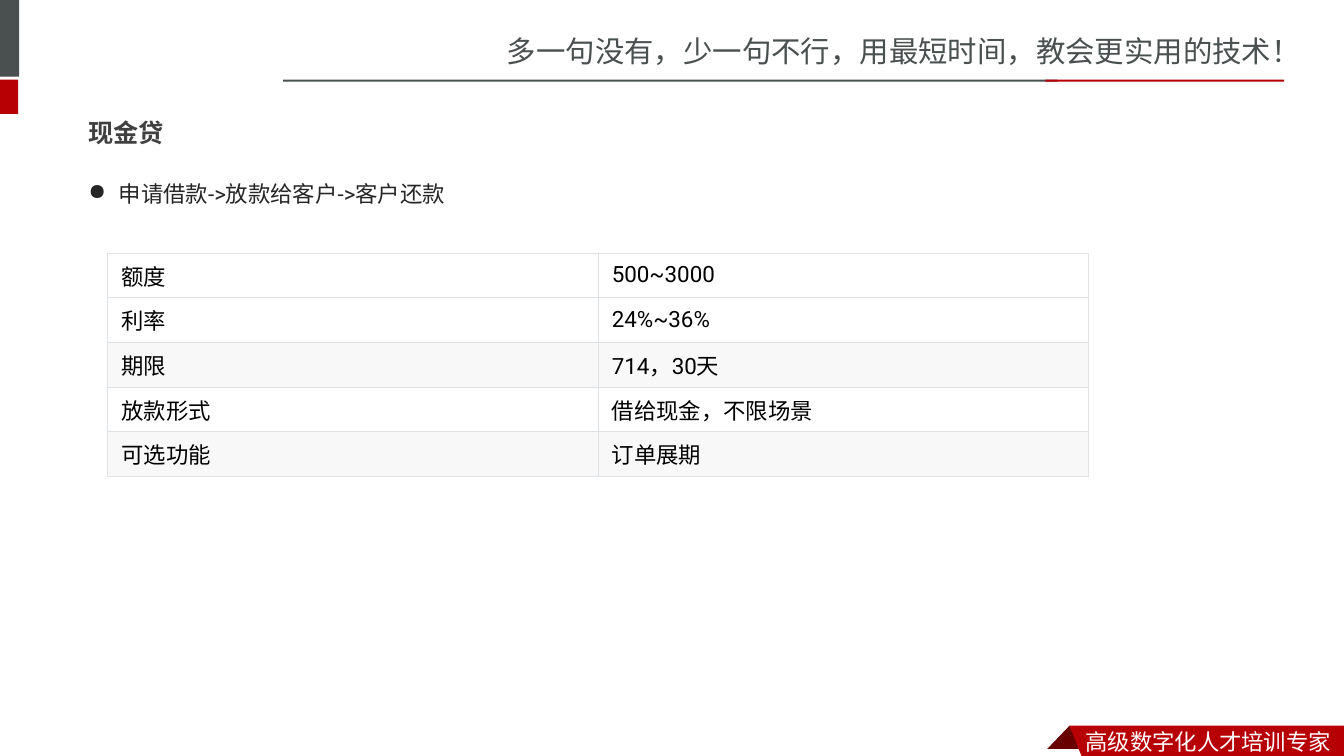
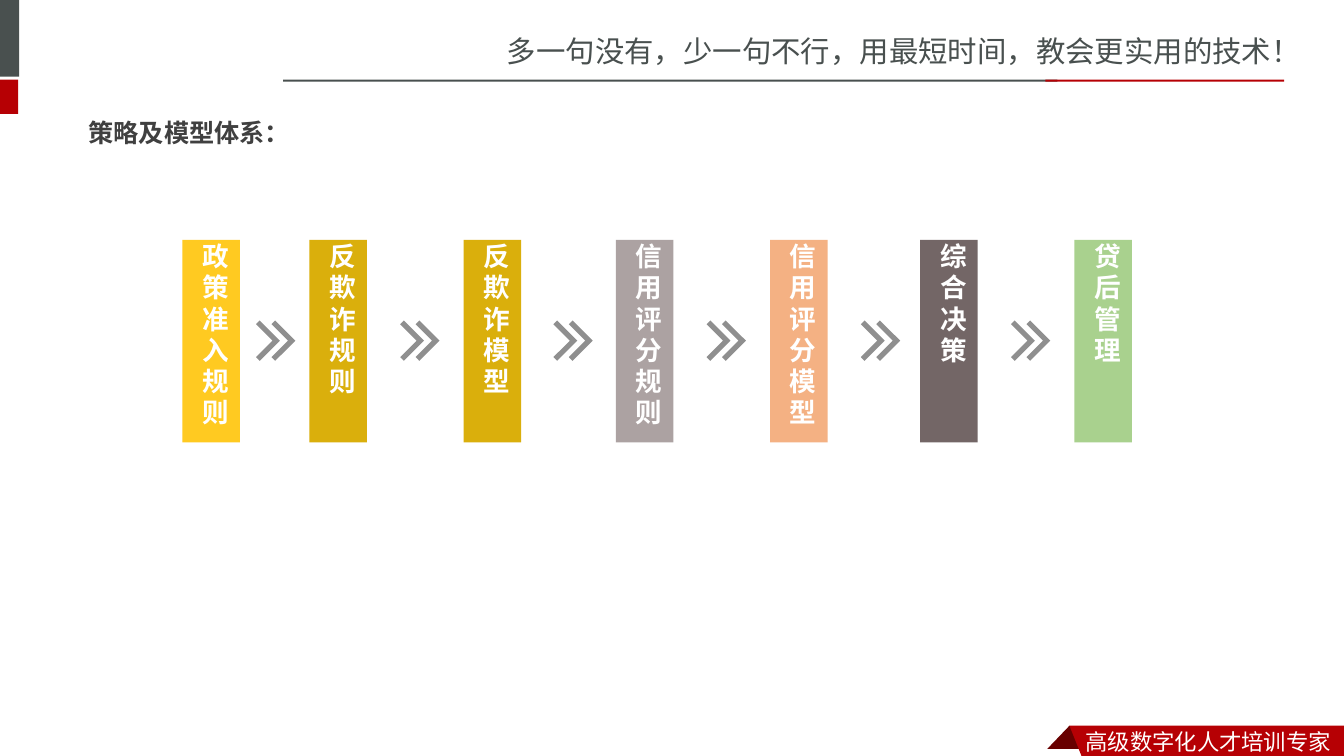
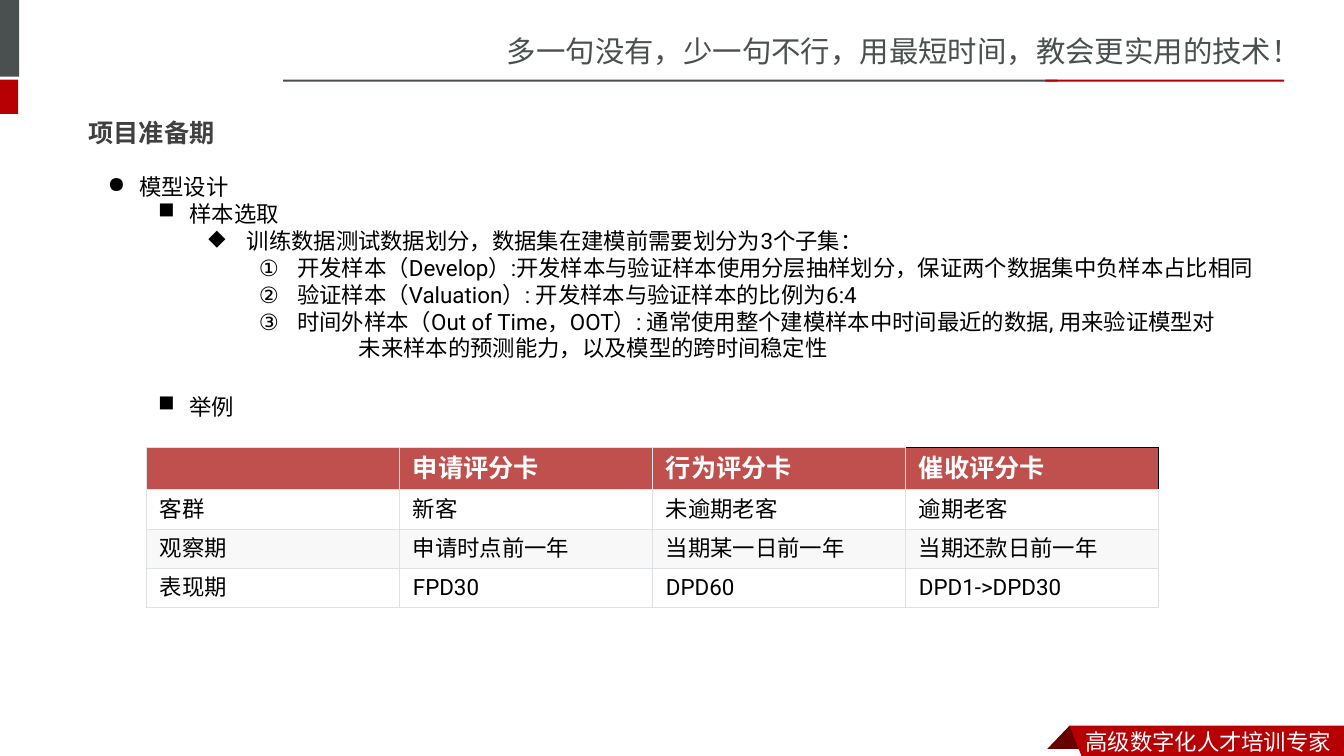
"""Builds three training slides on cash loans, risk strategy and model design."""
from dataclasses import dataclass

from lxml import etree
from pptx import Presentation
from pptx import util as u
from pptx.dml.color import RGBColor
from pptx.enum import shapes, text
from pptx.oxml import ns


@dataclass(frozen=True)
class Theme:
    slate: str = "49504F"
    red: str = "B60004"
    dark_red: str = "680000"
    header: str = "C0504D"
    heading: str = "404040"
    body: str = "262626"
    black: str = "000000"
    white: str = "FFFFFF"
    stripe: str = "F8F8F8"
    border: str = "DFE2E5"
    arrow: str = "8F8F8F"
    latin: str = "Roboto"
    chinese: str = "Noto Sans CJK SC"
    heading_font: str = "Noto Sans CJK JP"
    slogan_size: int = 21
    step_size: int = 19
    heading_size: int = 18
    body_size: int = 16


theme = Theme()
presentation = Presentation()
presentation.slide_width, presentation.slide_height = u.Inches(40 / 3), u.Inches(7.5)
COLUMNS = 400
CELL = presentation.slide_width / COLUMNS


def grid(*cells):
    """Turn counts of grid cells into lengths."""
    return [u.Emu(round(count * CELL)) for count in cells]


def write(frame, content, size=theme.body_size, color=theme.black, font=theme.latin,
          east=None, bold=False, align=None, anchor=text.MSO_ANCHOR.TOP, bullet=None,
          margin=0, hang=0, level=0, line_spacing=None, tracking=0):
    """Add one formatted paragraph to a text frame."""
    frame.word_wrap = True
    frame.vertical_anchor = anchor
    paragraph = frame.paragraphs[0]
    if paragraph.runs:
        paragraph = frame.add_paragraph()
    paragraph.level = level
    properties = paragraph._p.get_or_add_pPr()
    margin, hang = grid(margin, hang)
    properties.set("marL", str(margin))
    properties.set("indent", str(-hang))
    if bullet == "circled":
        etree.SubElement(properties, ns.qn("a:buAutoNum"), type="circleNumDbPlain")
    elif bullet:
        etree.SubElement(properties, ns.qn("a:buChar"), char=bullet)
    paragraph.alignment = align
    paragraph.line_spacing = line_spacing
    run = paragraph.add_run()
    run.text = content
    run.font.size, run.font.bold, run.font.name = u.Pt(size), bold, font
    run.font.color.rgb = RGBColor.from_string(color)
    run_properties = run._r.get_or_add_rPr()
    run_properties.set("spc", str(round(tracking * 100)))
    etree.SubElement(run_properties, ns.qn("a:ea"), typeface=east or font)


layout = presentation.slide_layouts[6]
for placeholder in list(layout.placeholders):
    placeholder.element.getparent().remove(placeholder.element)
loan_slide, strategy_slide, design_slide = [
    presentation.slides.add_slide(layout) for _ in range(3)]

filled = []
for color, *place in [
    (theme.slate, 0, 0, 5.7, 22.8),
    (theme.red, 0, 23.7, 5.4, 10.2),
    (theme.slate, 84.3, 23.7, 230.4, 0.6),
    (theme.red, 311.1, 23.7, 71.1, 0.6),
]:
    bar = loan_slide.shapes.add_shape(shapes.MSO_SHAPE.RECTANGLE, *grid(*place))
    filled.append((bar, color))
for color, corners in [
    (theme.dark_red, [(318.3, 216), (324.9, 222.9), (311.7, 222.9)]),
    (theme.red, [(318.3, 216), (400, 216), (400, 225), (321.9, 225)]),
]:
    start, *rest = [grid(*corner) for corner in corners]
    builder = loan_slide.shapes.build_freeform(*start)
    builder.add_line_segments(rest)
    filled.append((builder.convert_to_shape(), color))

slogan = loan_slide.shapes.add_textbox(*grid(147.9, 8.4, 252.3, 13.5))
write(slogan.text_frame, "多一句没有，少一句不行，用最短时间，教会更实用的技术！",
      size=theme.slogan_size, color=theme.slate, font=theme.chinese)
ribbon_label = loan_slide.shapes.add_textbox(*grid(320.1, 215.1, 79.9, 9.9))
write(ribbon_label.text_frame, "高级数字化人才培训专家",
      color=theme.white, font=theme.chinese)
for shape in list(loan_slide.shapes):
    layout.element.cSld.spTree.append(shape.element)

for slide, heading in [
    (loan_slide, "现金贷"),
    (strategy_slide, "策略及模型体系："),
    (design_slide, "项目准备期"),
]:
    box = slide.shapes.add_textbox(*grid(23.4, 30.9, 352.8, 17.1))
    write(box.text_frame, heading, size=theme.heading_size, color=theme.heading,
          font=theme.heading_font, bold=True, anchor=text.MSO_ANCHOR.MIDDLE)

process = loan_slide.shapes.add_textbox(*grid(23.4, 48, 352.8, 20))
write(process.text_frame, "申请借款->放款给客户->客户还款", color=theme.body,
      east=theme.chinese, bullet="●", margin=9, hang=9, line_spacing=1.5)

for left, color, step in [
    (54.3, "FFCA21", "政策准入规则"),
    (92.1, "DAAF0C", "反欺诈规则"),
    (138, "DAAF0C", "反欺诈模型"),
    (183.3, "ACA2A2", "信用评分规则"),
    (229.2, "F4B183", "信用评分模型"),
    (273.9, "736666", "综合决策"),
    (319.8, "A9D18E", "贷后管理"),
]:
    block = strategy_slide.shapes.add_shape(
        shapes.MSO_SHAPE.RECTANGLE, *grid(left, 71.4, 17.1, 60.3))
    filled.append((block, color))
    frame = block.text_frame
    frame.margin_left, frame.margin_top, frame.margin_right, frame.margin_bottom = grid(2, 1, 0, 0)
    write(frame, " ".join(step), size=theme.step_size, color=theme.white,
          font=theme.chinese, bold=True, align=text.PP_ALIGN.CENTER,
          anchor=text.MSO_ANCHOR.MIDDLE, tracking=-0.7)
    frame._txBody.bodyPr.set("vert", "eaVert")

chevron = [(4.9, 6), (0, 10.9), (1.1, 12), (7.1, 6), (1.1, 0), (0, 1.1)]
for left in (76.2, 119.1, 164.7, 210.3, 256.2, 300.9):
    halves = [[grid(left + shift + x, 95.4 + y) for x, y in chevron] for shift in (0, 4.6)]
    builder = strategy_slide.shapes.build_freeform(*halves[0][0])
    builder.add_line_segments(halves[0][1:])
    builder.move_to(*halves[1][0])
    builder.add_line_segments(halves[1][1:])
    filled.append((builder.convert_to_shape(), theme.arrow))

for shape, color in filled:
    shape.shadow.inherit = False
    shape.fill.solid()
    shape.fill.fore_color.rgb = RGBColor.from_string(color)
    shape.line.fill.background()

levels = [("●", 9.4, 9.4), ("■", 24.4, 9.4), ("◆", 41.4, 11.4),
          ("circled", 56.4, 11.4), (None, 74.8, 0)]
outline = design_slide.shapes.add_textbox(*grid(29.1, 50.1, 350.1, 59.7))
example = design_slide.shapes.add_textbox(*grid(29.1, 115.5, 43.8, 11.1))
for box, level, content in [
    (outline, 0, "模型设计"),
    (outline, 1, "样本选取"),
    (outline, 2, "训练数据测试数据划分，数据集在建模前需要划分为3个子集："),
    (outline, 3, "开发样本（Develop）:开发样本与验证样本使用分层抽样划分，保证两个数据集中负样本占比相同"),
    (outline, 3, "验证样本（Valuation）: 开发样本与验证样本的比例为6:4"),
    (outline, 3, "时间外样本（Out of Time，OOT）: 通常使用整个建模样本中时间最近的数据, 用来验证模型对"),
    (outline, 4, "未来样本的预测能力，以及模型的跨时间稳定性"),
    (example, 1, "举例"),
]:
    bullet, margin, hang = levels[level]
    write(box.text_frame, content, bullet=bullet, margin=margin, hang=hang, level=level)

loan_terms = [
    ("额度", "500~3000"),
    ("利率", "24%~36%"),
    ("期限", "714，30天"),
    ("放款形式", "借给现金，不限场景"),
    ("可选功能", "订单展期"),
]
score_cards = [
    ("", "申请评分卡", "行为评分卡", "催收评分卡"),
    ("客群", "新客", "未逾期老客", "逾期老客"),
    ("观察期", "申请时点前一年", "当期某一日前一年", "当期还款日前一年"),
    ("表现期", "FPD30", "DPD60", "DPD1->DPD30"),
]
for slide, left, top, width, heights, rows, header, striped, east, dark_edges in [
    (loan_slide, 32.1, 75.3, 145.9, [13.3] * 5, loan_terms, False, (2, 4), theme.chinese, {}),
    (design_slide, 43.5, 133.2, 75.3, [12.6] + [11.7] * 3, score_cards, True, (2,),
     theme.latin, {(0, 3): ("lnR", "lnT")}),
]:
    table = slide.shapes.add_table(
        len(rows), len(rows[0]),
        *grid(left, top, width * len(rows[0]), sum(heights))).table
    table.first_row, table.horz_banding = header, False
    for column in table.columns:
        column.width, = grid(width)
    for row, values in enumerate(rows):
        table.rows[row].height, = grid(heights[row])
        is_header = header and row == 0
        fill = theme.header if is_header else theme.stripe if row in striped else theme.white
        for column, value in enumerate(values):
            cell = table.cell(row, column)
            cell.margin_left, cell.margin_top, cell.margin_right, cell.margin_bottom = grid(
                4.1, 1.8, 4.1, 1.8)
            cell.vertical_anchor = text.MSO_ANCHOR.MIDDLE
            write(cell.text_frame, value, east=east, bold=is_header,
                  size=theme.heading_size if is_header else theme.body_size,
                  color=theme.white if is_header else theme.black,
                  anchor=None)
            for side in ("lnL", "lnR", "lnT", "lnB"):
                dark = side in dark_edges.get((row, column), ())
                line = etree.SubElement(cell._tc.get_or_add_tcPr(), ns.qn("a:" + side),
                                        w=str(u.Pt(0.75)))
                paint = etree.SubElement(line, ns.qn("a:solidFill"))
                etree.SubElement(paint, ns.qn("a:srgbClr"),
                                 val=theme.black if dark else theme.border)
            cell.fill.solid()
            cell.fill.fore_color.rgb = RGBColor.from_string(fill)

presentation.save("out.pptx")
